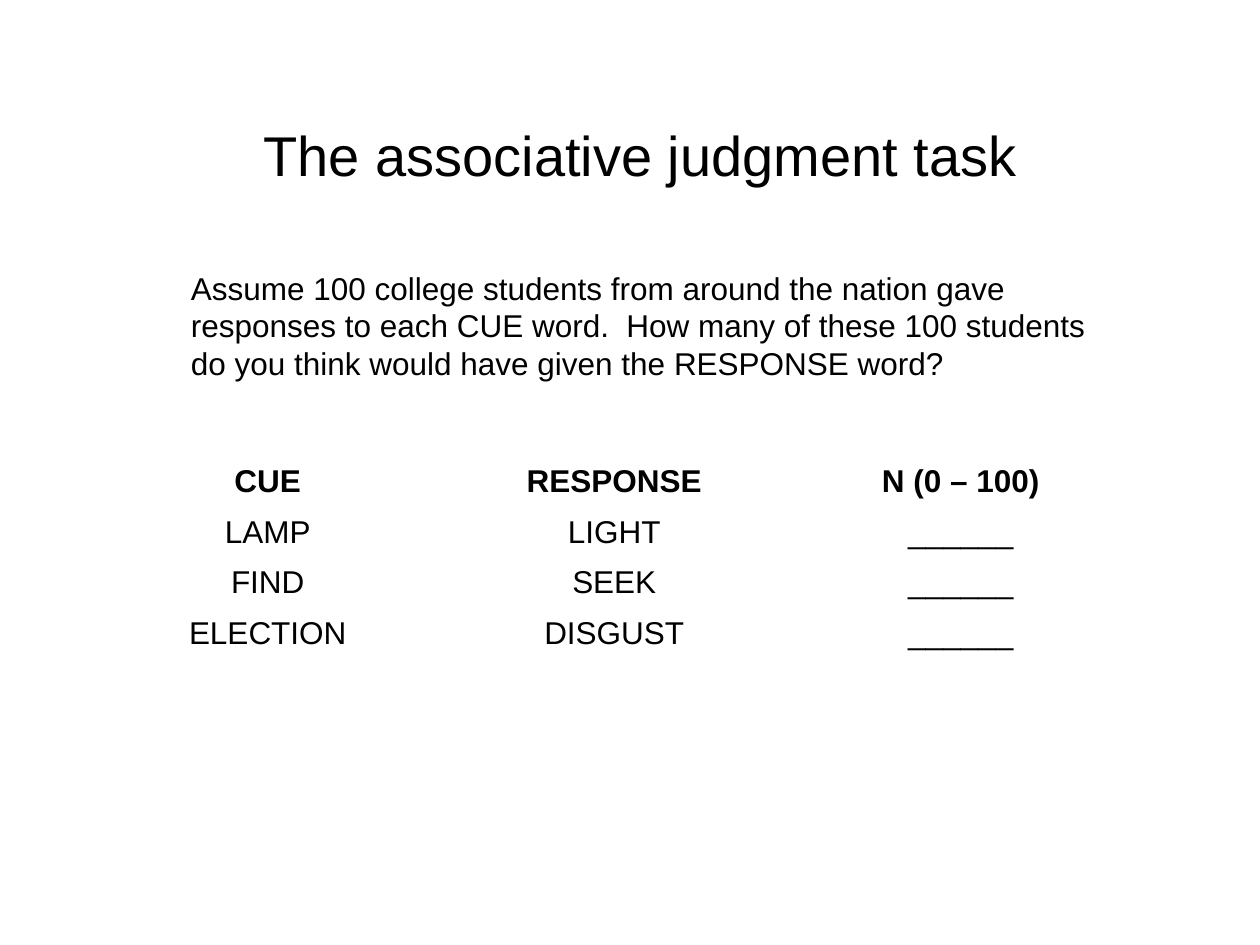
from dataclasses import dataclass

from pptx import Presentation
from pptx.dml.color import RGBColor
from pptx.enum.text import MSO_ANCHOR as Anchor, PP_ALIGN as Align
from pptx.slide import Slide
from pptx.text.text import TextFrame
from pptx.util import Emu, Inches, Pt


@dataclass(frozen=True)
class Theme:
    font: str = "Arial"
    ink: RGBColor = RGBColor(0, 0, 0)
    title_size: float = 32
    body_size: float = 18
    body_gap: float = 4.5


@dataclass(frozen=True)
class Area:
    col: float
    row: float
    cols: float
    rows: float

    def lengths(self) -> tuple[Emu, ...]:
        return tuple(grid(n) for n in (self.col, self.row, self.cols, self.rows))


@dataclass(frozen=True)
class TextBlock:
    text: str
    area: Area
    size: float
    align: Align
    anchor: Anchor
    gap: float = 0


@dataclass(frozen=True)
class Trial:
    cue: str
    response: str
    rating: str = "______"


THEME = Theme()
GRID_COLUMNS, GRID_ROWS = 120, 90
SLIDE_WIDTH, SLIDE_HEIGHT = Inches(10), Inches(7.5)
SPACER_ROWS, TRIAL_ROWS = 6.6, 4.8

TITLE = TextBlock("The associative judgment task", Area(7, 10, 108, 9.36),
                  THEME.title_size, Align.CENTER, Anchor.MIDDLE)
QUESTION = TextBlock(
    "Assume 100 college students from around the nation gave responses to each "
    "CUE word.  How many of these 100 students do you think would have given "
    "the RESPONSE word?",
    Area(17, 25, 88, 12), THEME.body_size, Align.LEFT, Anchor.TOP, THEME.body_gap)
HEADING = Trial("CUE", "RESPONSE", "N (0 – 100)")
TRIALS = [Trial("LAMP", "LIGHT"), Trial("FIND", "SEEK"), Trial("ELECTION", "DISGUST")]


def grid(count: float) -> Emu:
    return Emu(round(SLIDE_WIDTH * count / GRID_COLUMNS))


def write(frame: TextFrame, text: str, size: float, align: Align,
          gap: float, bold: bool = False) -> None:
    frame.text = text
    paragraph = frame.paragraphs[0]
    paragraph.alignment = align
    paragraph.space_before = Pt(gap)
    for run in paragraph.runs:
        run.font.name = THEME.font
        run.font.size = Pt(size)
        run.font.bold = bold
        run.font.color.rgb = THEME.ink


def draw_text(slide: Slide, block: TextBlock) -> None:
    frame = slide.shapes.add_textbox(*block.area.lengths()).text_frame
    frame.word_wrap = True
    frame.vertical_anchor = block.anchor
    write(frame, block.text, block.size, block.align, block.gap)


def draw_trials(slide: Slide, heading: Trial, trials: list[Trial]) -> None:
    lines = [heading, *trials]
    area = Area(9, 37, 99, SPACER_ROWS + TRIAL_ROWS * len(lines))
    table = slide.shapes.add_table(len(lines) + 1, 3, *area.lengths()).table
    table.first_row = table.horz_banding = False
    for row in table.rows:
        row.height = grid(TRIAL_ROWS)
    table.rows[0].height = grid(SPACER_ROWS)
    for cell in table.iter_cells():
        cell.fill.background()
    table.cell(0, 0).merge(table.cell(0, 2))
    for row, line in enumerate(lines, start=1):
        for column, word in enumerate((line.cue, line.response, line.rating)):
            write(table.cell(row, column).text_frame, word, THEME.body_size,
                  Align.CENTER, THEME.body_gap, bold=line is heading)


def main() -> None:
    deck = Presentation()
    deck.slide_width, deck.slide_height = SLIDE_WIDTH, SLIDE_HEIGHT
    slide = deck.slides.add_slide(deck.slide_layouts[6])
    draw_text(slide, TITLE)
    draw_trials(slide, HEADING, TRIALS)
    draw_text(slide, QUESTION)
    deck.save("out.pptx")


if __name__ == "__main__":
    main()
